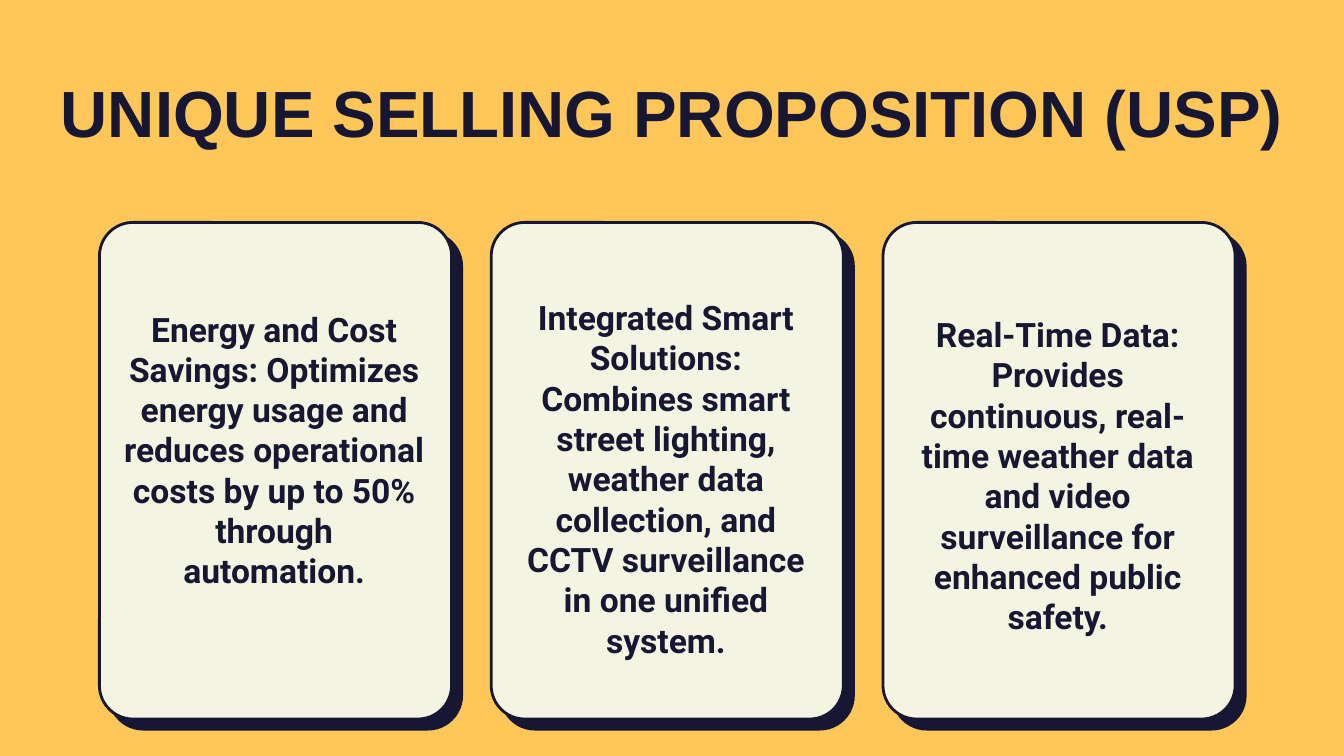
import pptx
import pptx.dml.color
import pptx.enum.shapes
import pptx.enum.text
import pptx.util
from pptx.util import Inches

NAVY, CREAM, AMBER = "171733", "F4F4E3", "FFC759"
CARD_LEFT, CARD_PITCH = 1.48, 5.83


def rgb(value):
    return pptx.dml.color.RGBColor.from_string(value)


def write(s, text, font, size, spacing):
    """Fill a shape with one bold, centred paragraph without insets."""
    tf = s.text_frame
    tf.word_wrap = True
    tf.auto_size = pptx.enum.text.MSO_AUTO_SIZE.NONE
    tf.vertical_anchor = pptx.enum.text.MSO_ANCHOR.TOP
    tf.margin_left = tf.margin_top = tf.margin_right = tf.margin_bottom = 0
    p = tf.paragraphs[0]
    p.text = text
    p.alignment = pptx.enum.text.PP_ALIGN.CENTER
    p.line_spacing = pptx.util.Pt(spacing)
    p.font.name = font
    p.font.size = pptx.util.Pt(size)
    p.font.bold = True
    p.font.color.rgb = rgb(NAVY)


prs = pptx.Presentation()
prs.slide_width, prs.slide_height = Inches(20), Inches(11.25)
slide = prs.slides.add_slide(prs.slide_layouts[5])
slide.background.fill.solid()
slide.background.fill.fore_color.rgb = rgb(AMBER)

title = slide.shapes.title
title.left, title.top = Inches(0), Inches(1.27)
title.width, title.height = Inches(20), Inches(1.16)
write(title, "UNIQUE SELLING PROPOSITION (USP)", "Arial", 70, 70)

# Text top, text height, wording
cards = [
    (4.59, 4.74, "Energy and Cost Savings: Optimizes energy usage and reduces "
     "operational costs by up to 50% through automation."),
    (4.42, 5.33, "Integrated Smart Solutions: Combines smart street lighting, weather "
     "data collection, and CCTV surveillance in one unified system."),
    (4.67, 4.74, "Real-Time Data: Provides continuous, real-time weather data and "
     "video surveillance for enhanced public safety."),
]
for i, (text_top, text_height, text) in enumerate(cards):
    left = CARD_LEFT + i * CARD_PITCH
    # Dark backing first, then the outlined card over it
    for offset, fill in ((0.15, NAVY), (0, CREAM)):
        s = slide.shapes.add_shape(
            pptx.enum.shapes.MSO_SHAPE.ROUNDED_RECTANGLE,
            Inches(left + offset), Inches(3.31 + offset), Inches(5.24), Inches(7.39))
        s.adjustments[0] = 0.5 / 5.24
        s.shadow.inherit = False
        s.fill.solid()
        s.fill.fore_color.rgb = rgb(fill)
        s.line.color.rgb = rgb(NAVY)
        s.line.width = pptx.util.Pt(3)
    tb = slide.shapes.add_textbox(
        Inches(left + 0.36), Inches(text_top), Inches(4.48), Inches(text_height))
    write(tb, text, "Roboto", 36, 43.2)

prs.save("out.pptx")
